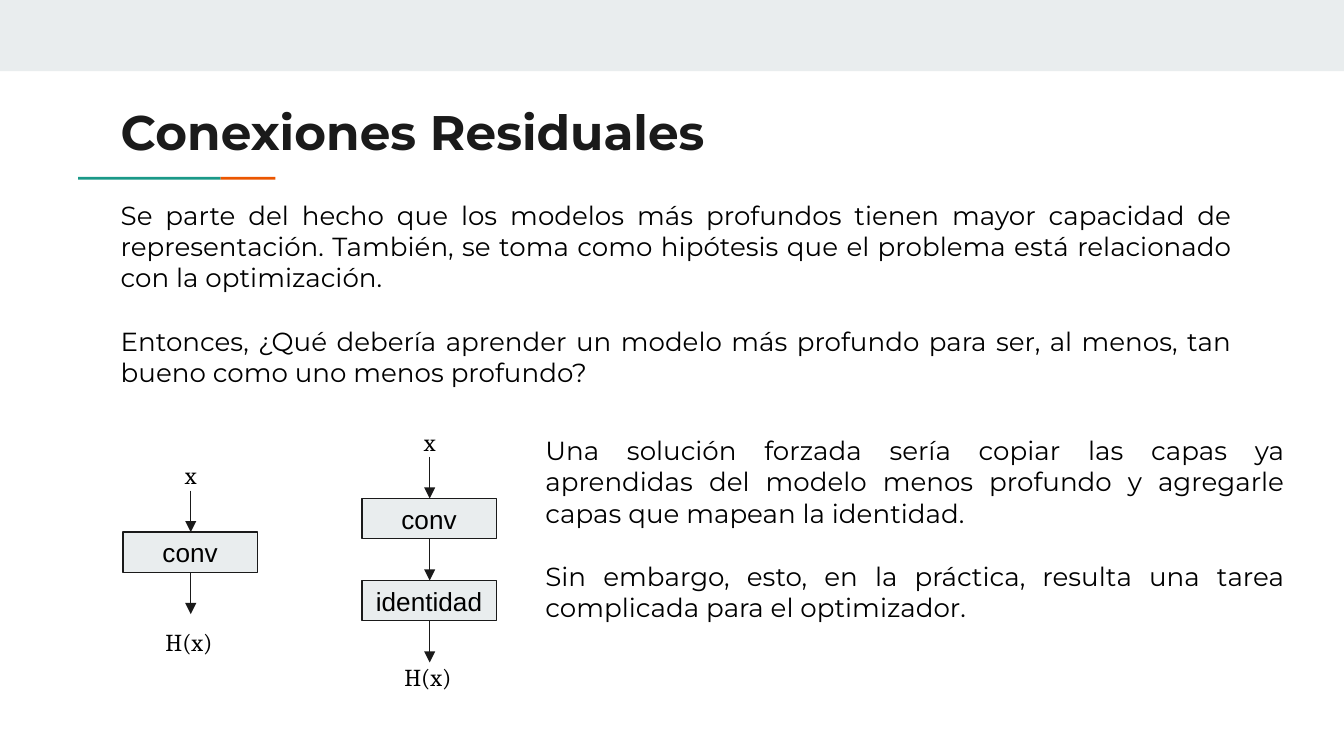
from lxml import etree
from pptx import Presentation
from pptx.dml.color import RGBColor
from pptx.enum import shapes, text
from pptx.oxml.ns import qn
from pptx.util import Pt

THEME = dict(
    ink="1A1A1A", black="000000", pale="E9EDEE", teal="1A9988", orange="EB5600",
    head=dict(name="Montserrat", size=Pt(26), bold=True),
    body=dict(name="Montserrat", size=Pt(14)),
    box=dict(name="Arial", size=Pt(14)),
    math=dict(name="Cambria", size=Pt(13)),
)
TITLE = "Conexiones Residuales"
BODIES = [
    ((57.6, 99.4, 609.8, 116.6), [
        "Se parte del hecho que los modelos más profundos tienen mayor capacidad de "
        "representación. También, se toma como hipótesis que el problema está "
        "relacionado con la optimización.",
        "Entonces, ¿Qué debería aprender un modelo más profundo para ser, al menos, "
        "tan bueno como uno menos profundo?"]),
    ((285.1, 225.4, 410.4, 116.6), [
        "Una solución forzada sería copiar las capas ya aprendidas del modelo menos "
        "profundo y agregarle capas que mapean la identidad.",
        "Sin embargo, esto, en la práctica, resulta una tarea complicada para el "
        "optimizador."]),
]
# Centre, top of first arrow, shift of the output label, layers
FLOWS = [(102.2, 262.8, 0, ["conv"]),
         (230.2, 244.8, -7.2, ["conv", "identidad"])]
BARS = [(0, 0, 720, 38.2, "pale"),
        (41.8, 94.8, 76.4, 1.5, "teal"),
        (118.2, 94.8, 29.4, 1.5, "orange")]
BOX_W, BOX_H, ARROW, GAP = 72, 21.6, 22.3, 17
ALIGN = text.PP_ALIGN

deck = Presentation()
deck.slide_width, deck.slide_height = Pt(720), Pt(405)
slide = deck.slides.add_slide(deck.slide_layouts[6])


def color(name):
    return RGBColor.from_string(THEME[name])


def write(shape, lines, style, align, ink="black"):
    frame = shape.text_frame
    frame.word_wrap = True
    for side in ("left", "right", "top", "bottom"):
        setattr(frame, "margin_" + side, Pt(7.2))
    for i, line in enumerate(lines):
        par = frame.add_paragraph() if i else frame.paragraphs[0]
        par.alignment = align
        par.space_before = Pt(GAP if i else 0)
        run = par.add_run()
        run.text = line
        for key, val in THEME[style].items():
            setattr(run.font, key, val)
        run.font.color.rgb = color(ink)


def label(spot, lines, style, align, ink="black"):
    write(slide.shapes.add_textbox(*map(Pt, spot)), lines, style, align, ink)


def block(spot, fill, edge=None):
    shape = slide.shapes.add_shape(shapes.MSO_SHAPE.RECTANGLE, *map(Pt, spot))
    shape.shadow.inherit = False
    shape.fill.solid()
    shape.fill.fore_color.rgb = color(fill)
    if edge:
        shape.line.color.rgb = color(edge)
        shape.line.width = Pt(0.75)
    else:
        shape.line.fill.background()
    return shape


def arrow(x, y):
    """Draw a downward arrow from (x, y) and return the y of its tip."""
    tip = y + ARROW
    link = slide.shapes.add_connector(
        shapes.MSO_CONNECTOR.STRAIGHT, *map(Pt, (x, y, x, tip)))
    link.line.color.rgb = color("ink")
    link.line.width = Pt(0.75)
    etree.SubElement(link.line._get_or_add_ln(), qn("a:tailEnd"), type="triangle")
    etree.SubElement(link._element.spPr, qn("a:effectLst"))
    return tip


def flow(mid, top, shift, layers):
    """Stack input, layers and output around a vertical axis."""
    label((mid - 14.4, top - 23.4, 28.8, 30.2), ["x"], "math", ALIGN.CENTER)
    y = arrow(mid, top)
    for name in layers:
        shape = block((mid - BOX_W / 2 - 0.3, y, BOX_W, BOX_H), "pale", "ink")
        shape.text_frame.vertical_anchor = text.MSO_ANCHOR.MIDDLE
        write(shape, [name], "box", ALIGN.CENTER)
        y = arrow(mid, y + BOX_H)
    label((mid - 21.9, y + shift, 41.8, 30.2), ["H(x)"], "math", ALIGN.CENTER)


for *spot, fill in BARS:
    block(spot, fill)
label((57.6, 47.5, 605.5, 42.5), [TITLE], "head", ALIGN.LEFT, "ink")
for spot, lines in BODIES:
    label(spot, lines, "body", ALIGN.JUSTIFY)
for item in FLOWS:
    flow(*item)

deck.save("out.pptx")
